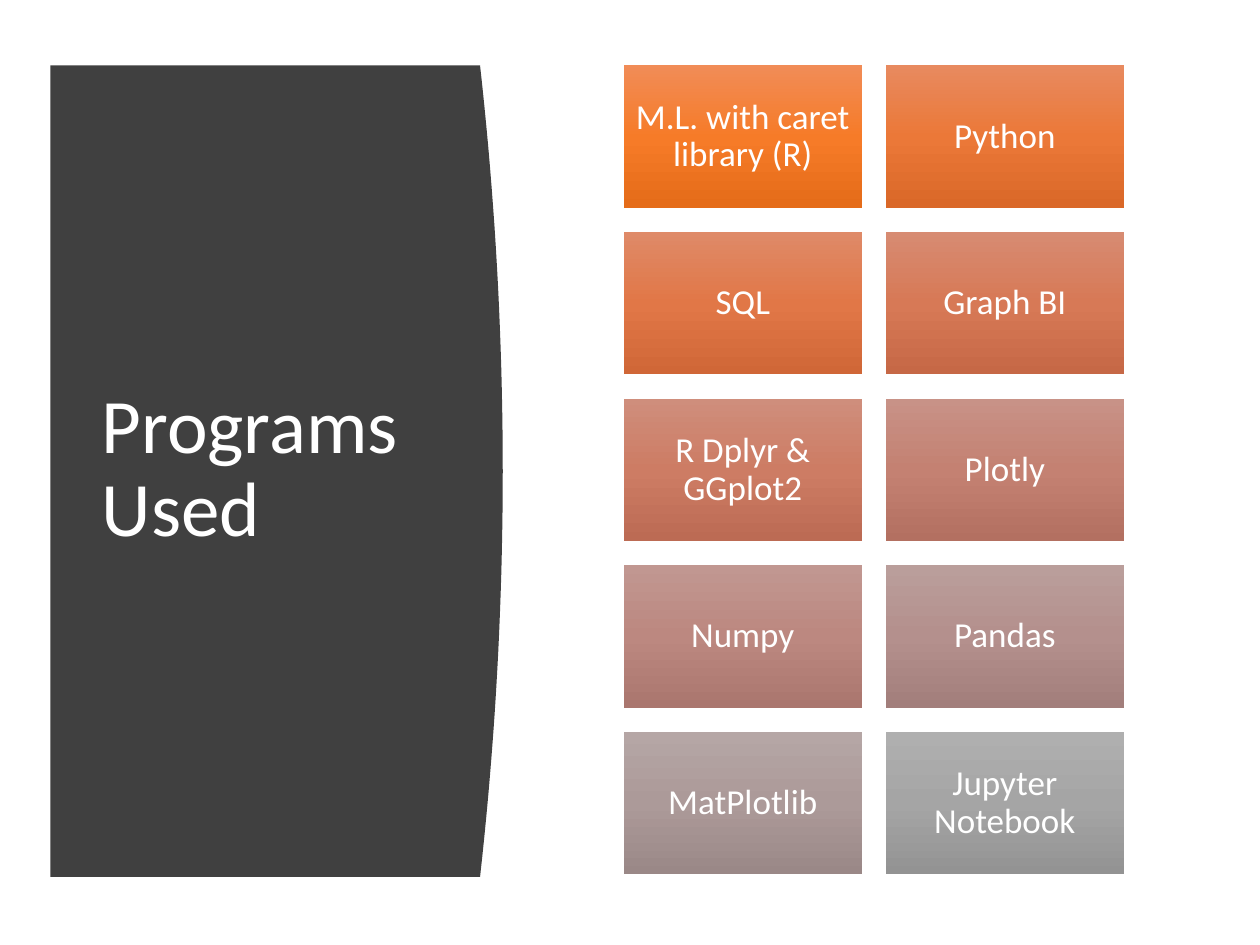
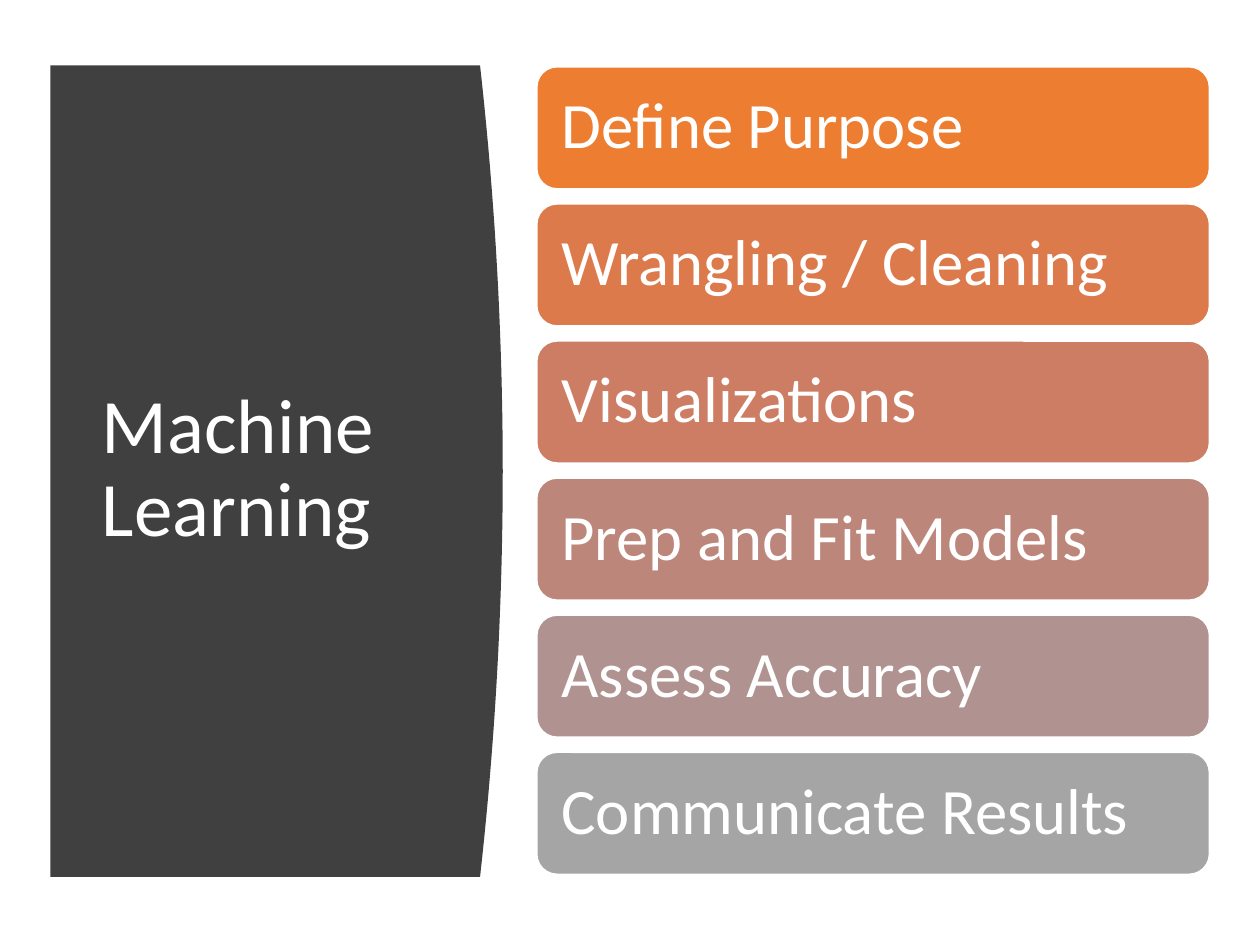
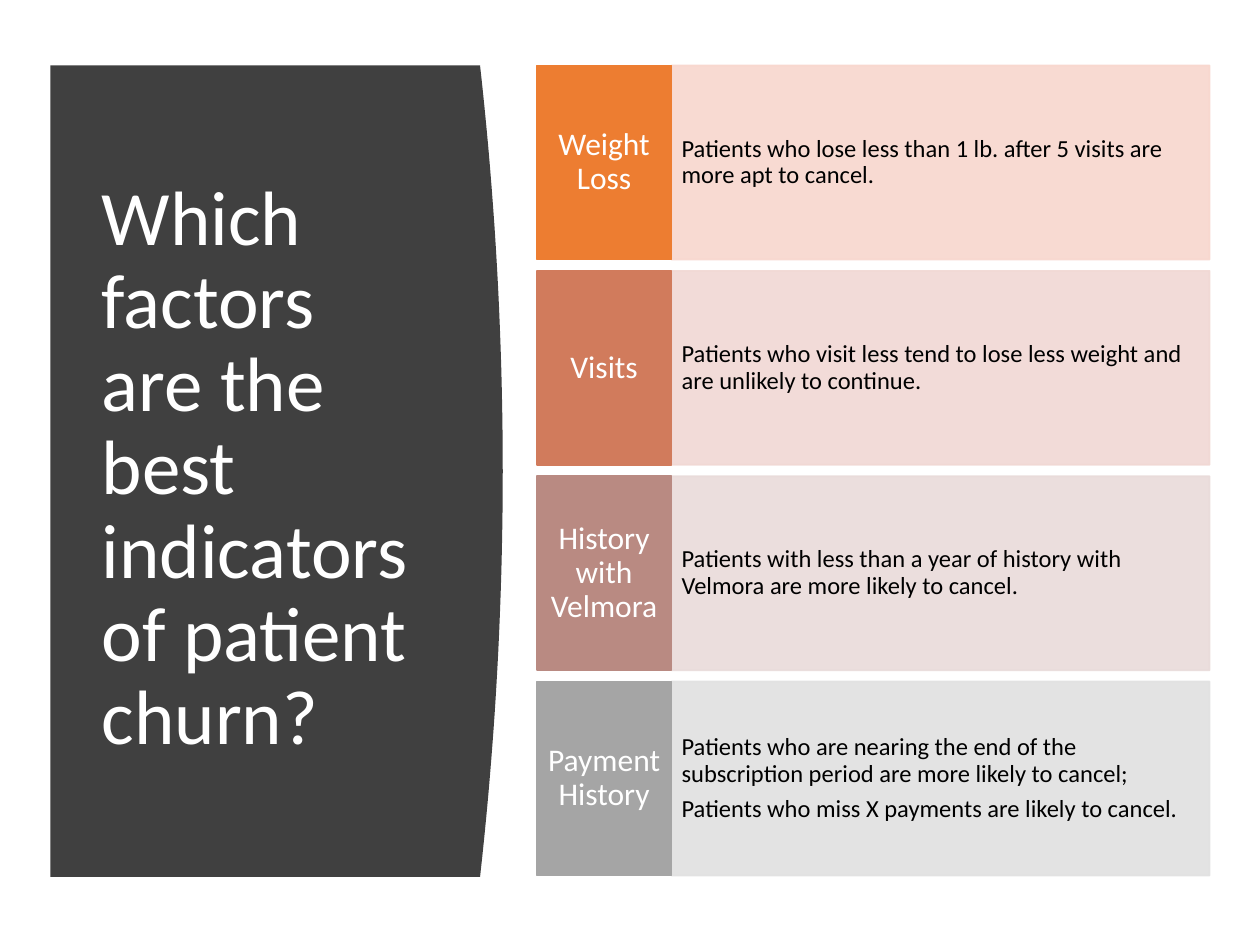
from copy import deepcopy
from dataclasses import dataclass

from lxml import etree
from pptx import Presentation
from pptx.dml.color import RGBColor
from pptx.enum.shapes import MSO_SHAPE
from pptx.enum.text import MSO_ANCHOR, PP_ALIGN
from pptx.oxml.ns import qn
from pptx.util import Inches, Pt

RECTANGLE = MSO_SHAPE.RECTANGLE
ROUNDED = MSO_SHAPE.ROUNDED_RECTANGLE
LEFT, CENTER = PP_ALIGN.LEFT, PP_ALIGN.CENTER
MIDDLE = MSO_ANCHOR.MIDDLE
BLANK_LAYOUT = 6


@dataclass(frozen=True)
class Theme:
    font: str = "Calibri"
    panel: str = "404040"
    light: str = "FFFFFF"
    dark: str = "000000"
    title_size: float = 44
    step_size: float = 37
    tile_size: float = 20
    label_size: float = 18
    detail_size: float = 14
    line_spacing: float = 0.9
    paragraph_gap: float = 0.35
    tile_gradients: tuple = (
        ("F18C57", "F67B28", "E56C19"), ("E88A5F", "EB7838", "DA6828"),
        ("DF8A68", "E17747", "D06737"), ("D78B72", "D77956", "C66846"),
        ("CF8E7C", "CD7C64", "BC6B54"), ("C89287", "C48172", "B37061"),
        ("C19791", "BC8880", "AA766E"), ("BA9E9B", "B4908D", "A27E7B"),
        ("B5A6A5", "AC9A99", "9A8887"), ("AFAFAF", "A5A5A5", "939393"),
    )
    step_fills: tuple = ("ED7D31", "DC7A4B", "CC7D64", "BD867B", "B09391", "A5A5A5")
    label_fills: tuple = ("ED7D31", "D17B5C", "B98A82", "A5A5A5")
    detail_fills: tuple = ("F8D7CE", "F1D8D4", "E9DBDA", "E1E1E1")
    detail_opacity: int = 90


PROGRAMS = (
    "M.L. with caret library (R)", "Python", "SQL", "Graph BI", "R Dplyr & GGplot2",
    "Plotly", "Numpy", "Pandas", "MatPlotlib", "Jupyter Notebook",
)
STEPS = (
    "Define Purpose", "Wrangling / Cleaning", "Visualizations",
    "Prep and Fit Models", "Assess Accuracy", "Communicate Results",
)
FACTORS = (
    ("Weight Loss",
     ["Patients who lose less than 1 lb. after 5 visits are more apt to cancel."]),
    ("Visits",
     ["Patients who visit less tend to lose less weight and are unlikely to continue."]),
    ("History with Velmora",
     ["Patients with less than a year of history with Velmora are more likely to cancel."]),
    ("Payment History",
     ["Patients who are nearing the end of the subscription period are more likely to cancel;",
      "Patients who miss X payments are likely to cancel."]),
)


def spread(first, last, count):
    """Return evenly spaced positions from first to last."""
    return [first + (last - first) * index / (count - 1) for index in range(count)]


def set_opacity(properties, percent):
    for color in properties.iter(qn("a:srgbClr")):
        etree.SubElement(color, qn("a:alpha"), val=str(percent * 1000))


class Deck:
    def __init__(self, theme):
        self.theme = theme
        self.presentation = Presentation()
        self.presentation.slide_width = Inches(10)
        self.presentation.slide_height = Inches(7.5)
        self.slide = None

    def start_slide(self, title):
        layout = self.presentation.slide_layouts[BLANK_LAYOUT]
        self.slide = self.presentation.slides.add_slide(layout)
        self.title_panel()
        box = self.slide.shapes.add_textbox(
            Inches(0.71), Inches(1.11), Inches(2.8), Inches(5.24))
        self.set_text(box, [title], self.theme.title_size, self.theme.light, LEFT, (0.1, 0.05))

    def title_panel(self):
        """Draw the dark panel whose right side bulges as a parabola."""
        left, top, bottom, peak, bulge = 0.4, 0.52, 6.96, 3.99, 0.18
        curve = [
            (peak - bulge * t * t, (top + bottom) / 2 + t * (bottom - top) / 2)
            for t in spread(-1, 1, 41)
        ]
        builder = self.slide.shapes.build_freeform(Inches(left), Inches(top), scale=1.0)
        outline = curve + [(left, bottom)]
        builder.add_line_segments([(Inches(x), Inches(y)) for x, y in outline], close=True)
        self.paint(builder.convert_to_shape(), self.theme.panel)

    def paint(self, shape, fill, line=None):
        shape.shadow.inherit = False
        shape.fill.solid()
        shape.fill.fore_color.rgb = RGBColor.from_string(fill)
        if line:
            shape.line.color.rgb = RGBColor.from_string(line)
            shape.line.width = Pt(1)
        else:
            shape.line.fill.background()

    def paint_gradient(self, shape, colors):
        """Fill with three colours from top to bottom."""
        fill = shape.fill
        fill.gradient()
        fill.gradient_angle = 270
        stop_list = shape.element.spPr.find(".//" + qn("a:gsLst"))
        stop_list.insert(1, deepcopy(stop_list[0]))
        for stop, color, position in zip(fill.gradient_stops, colors, (0, 0.5, 1)):
            stop.color.rgb = RGBColor.from_string(color)
            stop.position = position

    def set_text(self, shape, lines, size, color, alignment, insets):
        """Fill the text frame; insets are (horizontal, vertical) in inches."""
        frame = shape.text_frame
        horizontal, vertical = (Inches(inset) for inset in insets)
        frame_format = {
            "word_wrap": True, "vertical_anchor": MIDDLE,
            "margin_left": horizontal, "margin_right": horizontal,
            "margin_top": vertical, "margin_bottom": vertical,
        }
        for name, value in frame_format.items():
            setattr(frame, name, value)
        font_format = {"name": self.theme.font, "size": Pt(size)}
        for index, line in enumerate(lines):
            paragraph = frame.add_paragraph() if index else frame.paragraphs[0]
            paragraph.alignment = alignment
            paragraph.line_spacing = self.theme.line_spacing
            if index:
                paragraph.space_before = Pt(size * self.theme.paragraph_gap)
            run = paragraph.add_run()
            run.text = line
            for name, value in font_format.items():
                setattr(run.font, name, value)
            run.font.color.rgb = RGBColor.from_string(color)

    def block(self, kind, bounds, fill, line=None):
        shape = self.slide.shapes.add_shape(kind, *(Inches(value) for value in bounds))
        self.paint(shape, fill, line)
        return shape

    def tile(self, left, top, text, colors):
        shape = self.block(RECTANGLE, (left, top, 1.89, 1.13), colors[1])
        self.paint_gradient(shape, colors)
        self.set_text(shape, [text], self.theme.tile_size, self.theme.light, CENTER, (0.08, 0.08))

    def step(self, top, text, fill):
        shape = self.block(ROUNDED, (4.26, top, 5.34, 0.97), fill, self.theme.light)
        self.set_text(shape, [text], self.theme.step_size, self.theme.light, LEFT, (0.15, 0.15))

    def factor(self, top, label, details, label_fill, detail_fill):
        theme = self.theme
        detail = self.block(RECTANGLE, (5.33, top, 4.27, 1.54), detail_fill, detail_fill)
        set_opacity(detail.element.spPr, theme.detail_opacity)
        self.set_text(detail, details, theme.detail_size, theme.dark, LEFT, (0.08, 0.39))
        name = self.block(RECTANGLE, (4.26, top, 1.07, 1.54), label_fill, label_fill)
        self.set_text(name, [label], theme.label_size, theme.light, CENTER, (0.06, 0.15))


def main():
    theme = Theme()
    deck = Deck(theme)

    deck.start_slide("Programs Used")
    cells = [(left, top) for top in spread(0.52, 5.81, 5) for left in (4.95, 7.03)]
    for (left, top), program, colors in zip(cells, PROGRAMS, theme.tile_gradients):
        deck.tile(left, top, program, colors)

    deck.start_slide("Machine Learning")
    for top, step, fill in zip(spread(0.53, 5.97, len(STEPS)), STEPS, theme.step_fills):
        deck.step(top, step, fill)

    deck.start_slide("Which factors are the best indicators of patient churn?")
    rows = zip(spread(0.52, 5.41, len(FACTORS)), FACTORS, theme.label_fills, theme.detail_fills)
    for top, (label, details), label_fill, detail_fill in rows:
        deck.factor(top, label, details, label_fill, detail_fill)

    deck.presentation.save("out.pptx")


if __name__ == "__main__":
    main()
